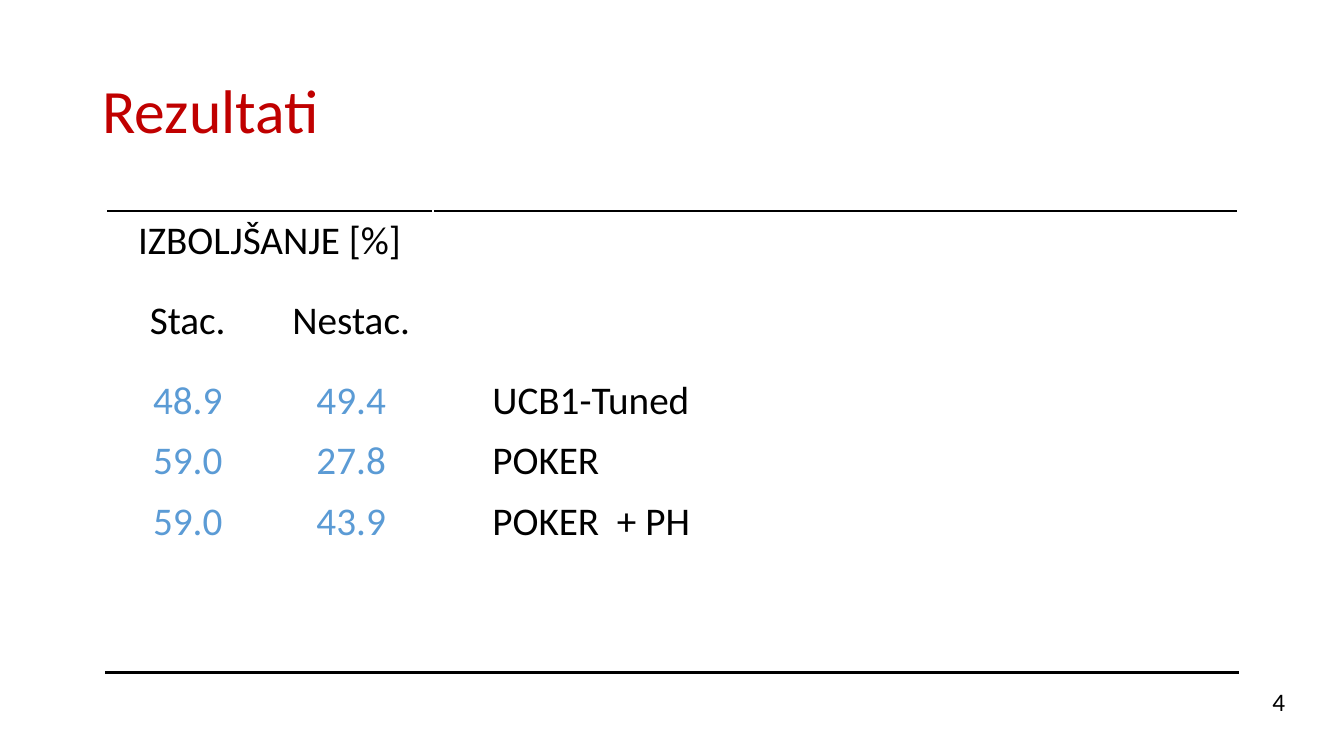
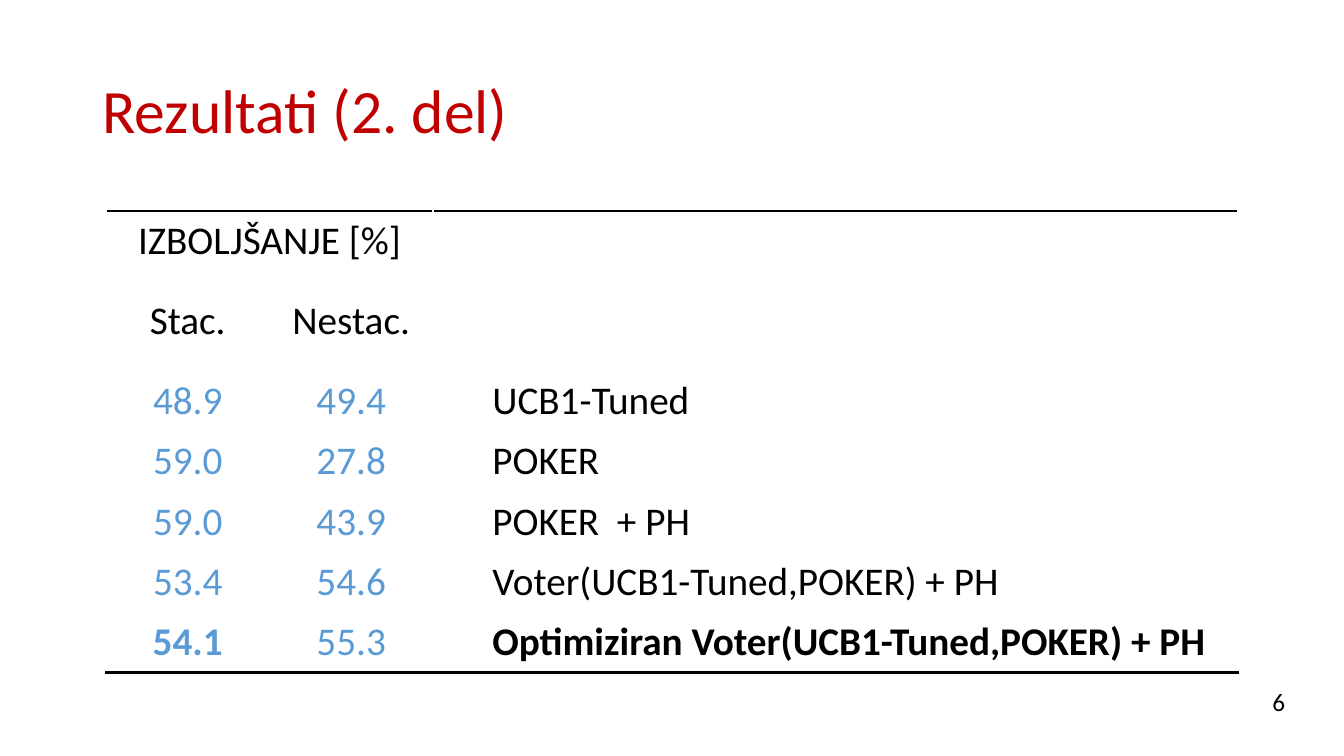
import pptx
import pptx.dml.color
import pptx.enum.text
import pptx.oxml
import pptx.oxml.ns
import pptx.util
from pptx.dml.color import RGBColor
from pptx.enum.text import MSO_ANCHOR, PP_ALIGN
from pptx.util import Cm

FONT = "Calibri"
RED = RGBColor(0xC0, 0x00, 0x00)
BLUE = RGBColor(0x5B, 0x9B, 0xD5)
BLACK = RGBColor(0x00, 0x00, 0x00)
WHITE = RGBColor(0xFF, 0xFF, 0xFF)

TITLE_ONLY = 5
COLUMN_WIDTHS = (Cm(4.12), Cm(4.12), Cm(20.29))
ROW_HEIGHT = Cm(1.52)
SUBHEAD_HEIGHT = Cm(2.52)
HEADING_ROWS = 2
ROW_COUNT = 7

RESULTS = [
    ("48.9", "49.4", "UCB1-Tuned"),
    ("59.0", "27.8", "POKER"),
    ("59.0", "43.9", "POKER  + PH"),
]
VOTER_RESULTS = [
    ("53.4", "54.6", "Voter(UCB1-Tuned,POKER) + PH"),
    ("54.1", "55.3", "Optimiziran Voter(UCB1-Tuned,POKER) + PH"),
]
BEST = {"54.1", "Optimiziran Voter(UCB1-Tuned,POKER) + PH"}


def add_run(paragraph, text, size, color, bold=False):
    run = paragraph.add_run()
    run.text = text
    run.font.name = FONT
    run.font.size = pptx.util.Pt(size)
    run.font.color.rgb = color
    run.font.bold = bold


def add_title(slide, text):
    title = slide.shapes.title
    title.left, title.top = Cm(2.33), Cm(1.01)
    title.width, title.height = Cm(29.21), Cm(3.68)
    title.text_frame.vertical_anchor = MSO_ANCHOR.MIDDLE
    paragraph = title.text_frame.paragraphs[0]
    paragraph.alignment = PP_ALIGN.LEFT
    paragraph.line_spacing = 0.9
    add_run(paragraph, text, 44, RED)


def add_page_number(slide, number):
    box = slide.shapes.add_textbox(Cm(31.55), Cm(17.17), Cm(1.35), Cm(1.02))
    frame = box.text_frame
    frame.word_wrap = True
    frame.vertical_anchor = MSO_ANCHOR.MIDDLE
    frame.paragraphs[0].alignment = PP_ALIGN.CENTER
    add_run(frame.paragraphs[0], str(number), 18, BLACK)


def rule_cell(cell, side):
    """Draw a black 2 pt line on one side of the cell: "T" or "B"."""
    namespace = pptx.oxml.ns.nsdecls("a")
    line = pptx.oxml.parse_xml(
        f'<a:ln{side} {namespace} w="{pptx.util.Pt(2)}"><a:solidFill>'
        f'<a:srgbClr val="{BLACK}"/></a:solidFill></a:ln{side}>'
    )
    cell._tc.get_or_add_tcPr().insert(0, line)


def fill_cell(cell, text, color, is_name=False):
    cell.vertical_anchor = MSO_ANCHOR.MIDDLE
    cell.margin_left = Cm(1.5) if is_name else Cm(0.03)
    cell.margin_right = Cm(0.3) if is_name else Cm(0.03)
    cell.margin_top = cell.margin_bottom = Cm(0.1)
    paragraph = cell.text_frame.paragraphs[0]
    paragraph.alignment = PP_ALIGN.LEFT if is_name else PP_ALIGN.CENTER
    add_run(paragraph, text, 28, color, bold=text in BEST)


def add_results_table(slide, results):
    height = ROW_HEIGHT * (ROW_COUNT - 1) + SUBHEAD_HEIGHT
    table = slide.shapes.add_table(
        ROW_COUNT, len(COLUMN_WIDTHS), Cm(2.67), Cm(5.31),
        sum(COLUMN_WIDTHS), height).table
    table.first_row = table.horz_banding = False
    for column, width in zip(table.columns, COLUMN_WIDTHS):
        column.width = width
    for row in table.rows:
        row.height = ROW_HEIGHT
    table.rows[1].height = SUBHEAD_HEIGHT

    for cell in table.iter_cells():
        cell.fill.solid()
        cell.fill.fore_color.rgb = WHITE
    for column in range(len(COLUMN_WIDTHS)):
        rule_cell(table.cell(0, column), "T")
        rule_cell(table.cell(ROW_COUNT - 1, column), "B")

    table.cell(0, 0).merge(table.cell(0, 1))
    fill_cell(table.cell(0, 0), "IZBOLJŠANJE [%]", BLACK)
    fill_cell(table.cell(1, 0), "Stac.", BLACK)
    fill_cell(table.cell(1, 1), "Nestac.", BLACK)
    for row, (stationary, nonstationary, name) in enumerate(results, HEADING_ROWS):
        fill_cell(table.cell(row, 0), stationary, BLUE)
        fill_cell(table.cell(row, 1), nonstationary, BLUE)
        fill_cell(table.cell(row, 2), name, BLACK, is_name=True)


def add_results_slide(deck, title, results, number):
    slide = deck.slides.add_slide(deck.slide_layouts[TITLE_ONLY])
    add_title(slide, title)
    add_results_table(slide, results)
    add_page_number(slide, number)


def main():
    deck = pptx.Presentation()
    deck.slide_width, deck.slide_height = Cm(33.87), Cm(19.05)
    add_results_slide(deck, "Rezultati", RESULTS, 4)
    add_results_slide(deck, "Rezultati (2. del)", RESULTS + VOTER_RESULTS, 6)
    deck.save("out.pptx")


if __name__ == "__main__":
    main()
